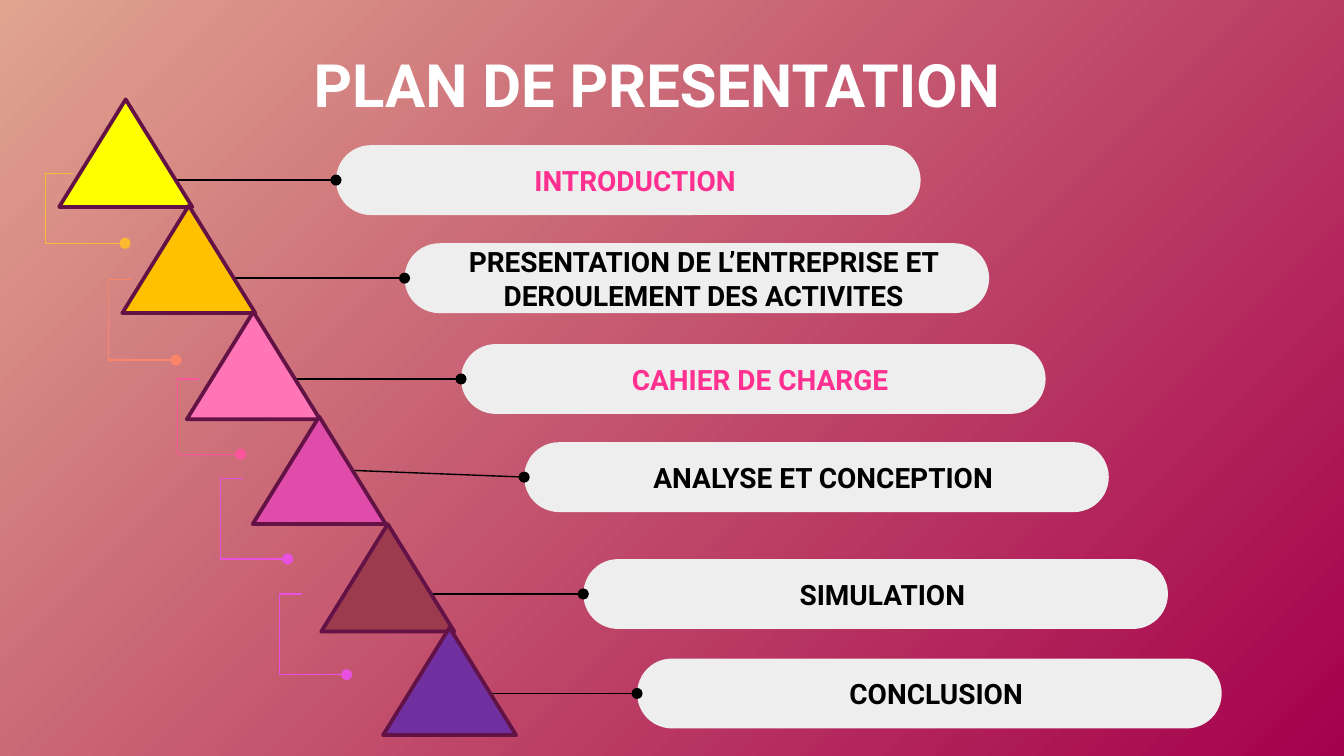
from typing import NamedTuple, Optional

from lxml import etree
from pptx import Presentation
from pptx import util as u
from pptx.dml.color import RGBColor
from pptx.enum import shapes, text
from pptx.oxml.ns import qn

COLORS = {
    "background_start": "A5004C",
    "background_end": "E0A48F",
    "title": "FFFFFF",
    "bar": "EEEEEE",
    "accent": "FF308F",
    "plain": "000000",
    "outline": "631246",
}
FONT = "Roboto"
SLIDE_WIDTH = 10
SLIDE_HEIGHT = SLIDE_WIDTH * 9 / 16
BAR_WIDTH, BAR_HEIGHT = 4.35, 0.52
TRIANGLE_WIDTH, TRIANGLE_HEIGHT = 0.99, 0.8


class Bracket(NamedTuple):
    left: float
    top: float
    hook: float
    width: float
    height: float
    color: str


class Step(NamedTuple):
    label: str
    label_color: str
    bar_left: float
    bar_top: float
    link_x: float
    link_y: float
    triangle_left: float
    triangle_top: float
    triangle_color: str
    bracket: Optional[Bracket]


STEPS = [
    Step("INTRODUCTION", "accent", 2.5, 1.08, 1.26, 1.34, 0.44, 0.74, "FFFF00",
         Bracket(0.34, 1.29, 0.2, 0.59, 0.52, "FBB831")),
    Step("PRESENTATION DE L’ENTREPRISE ET DEROULEMENT DES ACTIVITES", "plain",
         3.01, 1.81, 1.72, 2.07, 0.91, 1.53, "FFC000",
         Bracket(0.81, 2.08, 0.17, 0.5, 0.6, "FB8569")),
    Step("CAHIER DE CHARGE", "accent", 3.43, 2.56, 2.2, 2.82, 1.39, 2.32, "FF75B5",
         Bracket(1.32, 2.82, 0.16, 0.47, 0.56, "FB569C")),
    Step("ANALYSE ET CONCEPTION", "plain", 3.9, 3.29, 2.62, 3.5, 1.88, 3.1, "DF4CA9",
         Bracket(1.64, 3.56, 0.17, 0.5, 0.6, "E850E0")),
    Step("SIMULATION", "plain", 4.34, 4.16, 3.2, 4.42, 2.39, 3.9, "9C3A4E",
         Bracket(2.08, 4.42, 0.17, 0.5, 0.6, "E850E0")),
    Step("CONCLUSION", "plain", 4.74, 4.9, 3.61, 5.16, 2.85, 4.67, "7030A0", None),
]


def rgb(value: str) -> RGBColor:
    return RGBColor.from_string(value)


def style_line(item, color: str, width: float, oval_end: bool = False) -> None:
    item.line.color.rgb = rgb(color)
    item.line.width = u.Pt(width)
    if oval_end:
        outline = item._element.spPr.find(qn("a:ln"))
        etree.SubElement(outline, qn("a:tailEnd"), type="oval")


def write_text(frame, content: str, size: float, color: str) -> None:
    frame.text = content
    frame.word_wrap = True
    frame.auto_size = text.MSO_AUTO_SIZE.NONE
    frame.vertical_anchor = text.MSO_ANCHOR.MIDDLE
    frame.margin_left = frame.margin_right = u.Inches(0.1)
    frame.margin_top = frame.margin_bottom = u.Inches(0.1)
    paragraph = frame.paragraphs[0]
    paragraph.alignment = text.PP_ALIGN.CENTER
    paragraph.font.name = FONT
    paragraph.font.size = u.Pt(size)
    paragraph.font.bold = True
    paragraph.font.color.rgb = rgb(color)


def add_filled(slide, kind, left: float, top: float, width: float, height: float, color: str):
    filled = slide.shapes.add_shape(
        kind, u.Inches(left), u.Inches(top), u.Inches(width), u.Inches(height))
    filled.shadow.inherit = False
    filled.fill.solid()
    filled.fill.fore_color.rgb = rgb(color)
    return filled


def draw_bracket(slide, bracket: Bracket) -> None:
    bottom = bracket.top + bracket.height
    builder = slide.shapes.build_freeform(
        u.Inches(bracket.left + bracket.hook), u.Inches(bracket.top))
    corners = [(bracket.left, bracket.top), (bracket.left, bottom),
               (bracket.left + bracket.width, bottom)]
    builder.add_line_segments([(u.Inches(x), u.Inches(y)) for x, y in corners], close=False)
    outline = builder.convert_to_shape()
    outline.shadow.inherit = False
    outline.fill.background()
    style_line(outline, bracket.color, 0.75, oval_end=True)


def draw_bar(slide, step: Step) -> None:
    bar = add_filled(slide, shapes.MSO_SHAPE.ROUNDED_RECTANGLE, step.bar_left, step.bar_top,
                     BAR_WIDTH, BAR_HEIGHT, COLORS["bar"])
    bar.adjustments[0] = 0.5
    bar.line.fill.background()
    write_text(bar.text_frame, step.label, 15, COLORS[step.label_color])
    bar.text_frame.margin_left = u.Inches(0.2)

    link = slide.shapes.add_connector(
        shapes.MSO_CONNECTOR.STRAIGHT, u.Inches(step.link_x), u.Inches(step.link_y),
        u.Inches(step.bar_left), u.Inches(step.bar_top + BAR_HEIGHT / 2))
    link.end_connect(bar, 1)
    style_line(link, COLORS["plain"], 0.75, oval_end=True)
    etree.SubElement(link._element.spPr, qn("a:effectLst"))


def draw_triangle(slide, step: Step) -> None:
    triangle = add_filled(slide, shapes.MSO_SHAPE.ISOSCELES_TRIANGLE, step.triangle_left,
                          step.triangle_top, TRIANGLE_WIDTH, TRIANGLE_HEIGHT,
                          step.triangle_color)
    style_line(triangle, COLORS["outline"], 2)


def paint_background(slide) -> None:
    fill = slide.background.fill
    fill.gradient()
    fill.gradient_angle = 135
    for stop, name in zip(fill.gradient_stops, ("background_start", "background_end")):
        stop.color.rgb = rgb(COLORS[name])


def main() -> None:
    deck = Presentation()
    deck.slide_width, deck.slide_height = u.Inches(SLIDE_WIDTH), u.Inches(SLIDE_HEIGHT)
    slide = deck.slides.add_slide(deck.slide_layouts[5])
    paint_background(slide)

    title = slide.shapes.title
    title.left, title.top = u.Inches(0.73), u.Inches(0.31)
    title.width, title.height = u.Inches(8.43), u.Inches(0.63)
    write_text(title.text_frame, "PLAN DE PRESENTATION ", 32, COLORS["title"])

    for step in STEPS:
        if step.bracket:
            draw_bracket(slide, step.bracket)
        draw_bar(slide, step)
    for step in STEPS:
        draw_triangle(slide, step)

    deck.save("out.pptx")


if __name__ == "__main__":
    main()
